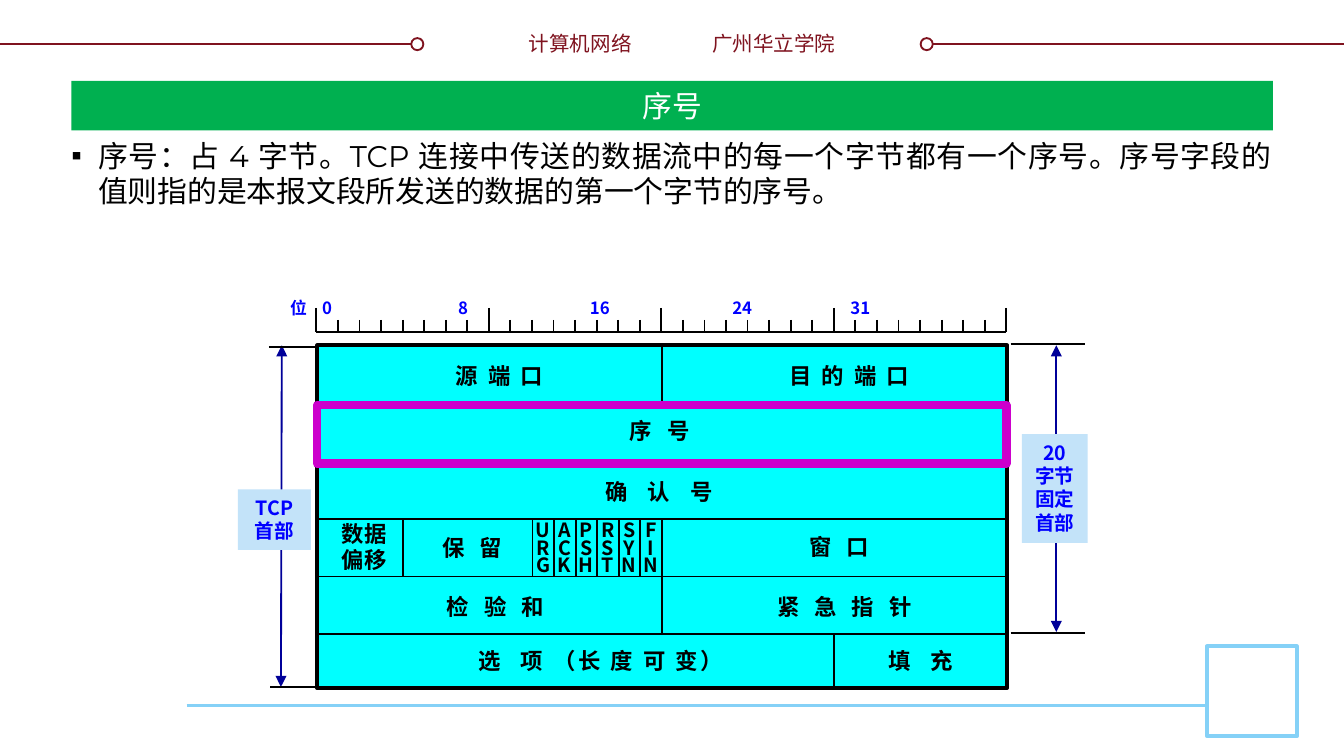
import pptx
import pptx.dml.color
import pptx.enum.shapes
import pptx.enum.text
import pptx.oxml.ns
import pptx.util
from dataclasses import dataclass
from lxml import etree

Pt = pptx.util.Pt
ALIGN = pptx.enum.text.PP_ALIGN
ANCHOR = pptx.enum.text.MSO_ANCHOR
SHAPE = pptx.enum.shapes.MSO_SHAPE


@dataclass(frozen=True)
class Theme:
    black: str = "000000"
    white: str = "FFFFFF"
    maroon: str = "7F131F"
    sky: str = "85D1F7"
    pale: str = "C3E3F9"
    cyan: str = "00FFFF"
    blue: str = "0000FF"
    navy: str = "000099"
    magenta: str = "CC00CC"
    green: str = "00B050"
    heading: str = "Montserrat"
    label: str = "Noto Sans CJK SC"
    large: float = 16
    field: float = 12
    header: float = 11
    small: float = 10.5
    scale: float = 9


THEME = Theme()

# Segment diagram: 32 bits wide, six rows
LEFT, TOP, BIT, ROW = 169.5, 185, 11.55, 30.96
RIGHT, BOTTOM = LEFT + 32 * BIT, 368.6

# Field labels: left, top, width, spans of (text, gap between characters)
FIELDS = [
    (234.7, 190.8, 65.5, [("源 端 口", 1.35)]),
    (412.6, 190.8, 85, [("目 的 端 口", 1.35)]),
    (320.4, 220.3, 66.2, [("序 号", 2.7)]),
    (308.9, 252.7, 88.6, [("确 认 号", 4.05)]),
    (228.2, 283, 49.7, [("保 留", 2.7)]),
    (424.8, 282.2, 49.7, [("窗 口", 2.7)]),
    (229, 314.6, 72.7, [("检 验 和", 2.7)]),
    (404.6, 314.6, 95.8, [("紧 急 指 针", 2.7)]),
    (239, 343.4, 165.6, [("选 ", 4.05), ("项 （长 度 可 变）", 1.35)]),
    (468.7, 343.4, 49, [("填 充", 4.05)]),
]
# Vertical dividers: first row, last row, bit positions
DIVIDERS = [(0, 1, [16]), (3, 4, [4, *range(10, 16)]), (3, 5, [16]), (5, 5.93, [24])]
FLAGS = ["URG", "ACK", "PSH", "RST", "SYN", "FIN"]


def rgb(value):
    return pptx.dml.color.RGBColor.from_string(value)


def style_font(font, size, color, name, bold=False):
    font.size, font.bold, font.name = Pt(size), bold, name
    font.color.rgb = rgb(color)
    for latin in font._element.findall(pptx.oxml.ns.qn("a:latin")):
        east = etree.Element(pptx.oxml.ns.qn("a:ea"), typeface=name)
        latin.addnext(east)


def set_margins(frame, side, edge):
    frame.margin_left = frame.margin_right = Pt(side)
    frame.margin_top = frame.margin_bottom = Pt(edge)


def add_line(page, x1, y1, x2, y2, color=THEME.black, width=1, arrows=False):
    line = page.shapes.add_connector(
        pptx.enum.shapes.MSO_CONNECTOR.STRAIGHT, Pt(x1), Pt(y1), Pt(x2), Pt(y2))
    line.line.color.rgb = rgb(color)
    line.line.width = Pt(width)
    if arrows:
        outline = line.line._get_or_add_ln()
        for end in ("a:headEnd", "a:tailEnd"):
            etree.SubElement(outline, pptx.oxml.ns.qn(end), type="triangle")
    etree.SubElement(line._element.spPr, pptx.oxml.ns.qn("a:effectLst"))


def add_box(page, x, y, width, height, fill=None, line=None, weight=1, kind=SHAPE.RECTANGLE):
    box = page.shapes.add_shape(kind, Pt(x), Pt(y), Pt(width), Pt(height))
    box.shadow.inherit = False
    if fill:
        box.fill.solid()
        box.fill.fore_color.rgb = rgb(fill)
    else:
        box.fill.background()
    if line:
        box.line.color.rgb = rgb(line)
        box.line.width = Pt(weight)
    else:
        box.line.fill.background()
    return box


def write_lines(box, lines, size, color, bold=True, align=ALIGN.CENTER, tight=1.0, wrap=False):
    """Fill a shape with paragraphs; each is a list of (text, gap) spans."""
    frame = box.text_frame
    frame.word_wrap = wrap
    frame.vertical_anchor = ANCHOR.TOP
    set_margins(frame, 7.2, 3.6)
    for index, spans in enumerate(lines):
        para = frame.add_paragraph() if index else frame.paragraphs[0]
        para.alignment = align
        para.line_spacing = Pt(round(size * 1.19 * tight, 1))
        for text, gap in spans:
            span = para.add_run()
            span.text = text
            style_font(span.font, size, color, THEME.label, bold)
            if gap:
                span.font._element.set("spc", str(round(gap * 100)))


def add_label(page, x, y, width, height, lines, size=THEME.field, color=THEME.black, **options):
    box = page.shapes.add_textbox(Pt(x), Pt(y), Pt(width), Pt(height))
    write_lines(box, lines, size, color, **options)
    return box


def plain(*lines):
    return [[(line, 0)] for line in lines]


def add_frame(page):
    # Header rule with a ring at each inner end
    for start, end, ring in ((0, 226.8, 220.3), (493.2, 720, 493.2)):
        add_line(page, start, 23.8, end, 23.8, THEME.maroon)
        add_box(page, ring, 20.4, 6.5, 6.5, THEME.white, THEME.maroon, kind=SHAPE.OVAL)
    for x, width, text, align in ((275.8, 69.8, "计算机网络", ALIGN.RIGHT),
                                  (374.4, 83.5, "广州华立学院", ALIGN.LEFT)):
        add_label(page, x, 13, width, 20.9, plain(text), THEME.header, THEME.maroon,
                  bold=False, align=align)
    # Footer rule and corner square
    add_line(page, 100, 378, 646.6, 378, THEME.sky, 1.5)
    add_box(page, 646.6, 346.3, 48.2, 48.2, THEME.white, THEME.sky, 2)


def add_scale(page):
    add_line(page, LEFT, 177.8, RIGHT, 177.8)
    for bit in range(33):
        x = LEFT + bit * BIT
        add_line(page, x, 171.4 if bit % 8 else 164.9, x, 177.8)
    box = page.shapes.add_textbox(Pt(148.3), Pt(156.2), Pt(401.8), Pt(18))
    para = box.text_frame.paragraphs[0]
    tabs = etree.SubElement(para._p.get_or_add_pPr(), pptx.oxml.ns.qn("a:tabLst"))
    for stop in (17.2, 90, 160.6, 236.9, 300.2):
        etree.SubElement(tabs, pptx.oxml.ns.qn("a:tab"), pos=str(int(Pt(stop))), algn="l")
    write_lines(box, plain("位\t0\t8\t16\t24\t31"), THEME.scale, THEME.blue,
                align=ALIGN.LEFT, wrap=True)


def add_measures(page):
    # Extent of the whole header and of its fixed part
    add_line(page, 151, 185, 150.5, 368, THEME.navy, arrows=True)
    add_line(page, 565.9, 185, 565.9, 338.6, THEME.navy, arrows=True)
    for x1, x2, y in ((144, LEFT, 185.8), (144.7, LEFT, 367.9),
                      (541.4, 581, 184.2), (541.4, 581, 339.1)):
        add_line(page, x1, y, x2, y)
    whole = add_box(page, 127.4, 262.2, 39.2, 32.4, THEME.pale)
    write_lines(whole, plain("TCP 首部"), THEME.small, THEME.blue, wrap=True)
    fixed = add_box(page, 547.4, 232.6, 35.3, 58.3, THEME.pale)
    write_lines(fixed, plain("20", "字节", "固定", "首部"), THEME.small, THEME.blue)


def add_segment(page):
    add_box(page, LEFT + 0.4, TOP, RIGHT - LEFT, BOTTOM - TOP, THEME.cyan, THEME.black, 2)
    for row in range(1, 6):
        add_line(page, LEFT, TOP + row * ROW, RIGHT, TOP + row * ROW)
    for first, last, bits in DIVIDERS:
        for bit in bits:
            x = LEFT + bit * BIT + 0.3
            add_line(page, x, TOP + first * ROW, x, TOP + last * ROW)
    for x, y, width, spans in FIELDS:
        add_label(page, x, y, width, 21.6, [spans])
    add_label(page, 175.7, 275, 38.9, 36, plain("数据", "偏移"))
    for index, flag in enumerate(FLAGS):
        add_label(page, 279.4 + index * BIT, 277.2, 23, 37.4, plain(*flag),
                  THEME.small, tight=0.75)
    # Highlighted sequence number row
    add_box(page, LEFT + 0.4, 216.9, RIGHT - LEFT - 0.4, 31.5, None, THEME.magenta, 4.5)


def place(holder, x, y, width, height):
    holder.left, holder.top, holder.width, holder.height = Pt(x), Pt(y), Pt(width), Pt(height)
    holder.text_frame.auto_size = pptx.enum.text.MSO_AUTO_SIZE.NONE
    holder.text_frame.word_wrap = True


def fill_placeholders(page):
    title = page.shapes.title
    place(title, 38.2, 43.3, 643.7, 26.6)
    title.fill.solid()
    title.fill.fore_color.rgb = rgb(THEME.green)
    title.text_frame.text = "序号"
    title.text_frame.vertical_anchor = ANCHOR.MIDDLE
    set_margins(title.text_frame, 0, 0)
    heading = title.text_frame.paragraphs[0]
    heading.alignment = ALIGN.CENTER
    style_font(heading.runs[0].font, THEME.large, THEME.white, THEME.heading)

    body = page.placeholders[1]
    place(body, 38.2, 70.6, 643.7, 291.6)
    set_margins(body.text_frame, 0, 2.9)
    body.text_frame.text = ("序号：占 4 字节。TCP 连接中传送的数据流中的每一个字节都有一个序号。"
                            "序号字段的值则指的是本报文段所发送的数据的第一个字节的序号。")
    para = body.text_frame.paragraphs[0]
    properties = para._p.get_or_add_pPr()
    properties.set("marL", str(int(Pt(14.4))))
    properties.set("indent", str(int(Pt(-14.4))))
    etree.SubElement(properties, pptx.oxml.ns.qn("a:buChar"), char="▪")
    para.alignment = ALIGN.JUSTIFY
    para.space_before, para.space_after = Pt(0), Pt(6)
    style_font(para.runs[0].font, THEME.large, THEME.black, THEME.heading)


def main():
    deck = pptx.Presentation()
    deck.slide_width, deck.slide_height = Pt(720), Pt(405)
    page = deck.slides.add_slide(deck.slide_layouts[1])
    add_frame(page)
    add_measures(page)
    add_segment(page)
    add_scale(page)
    fill_placeholders(page)
    deck.save("out.pptx")


if __name__ == "__main__":
    main()
